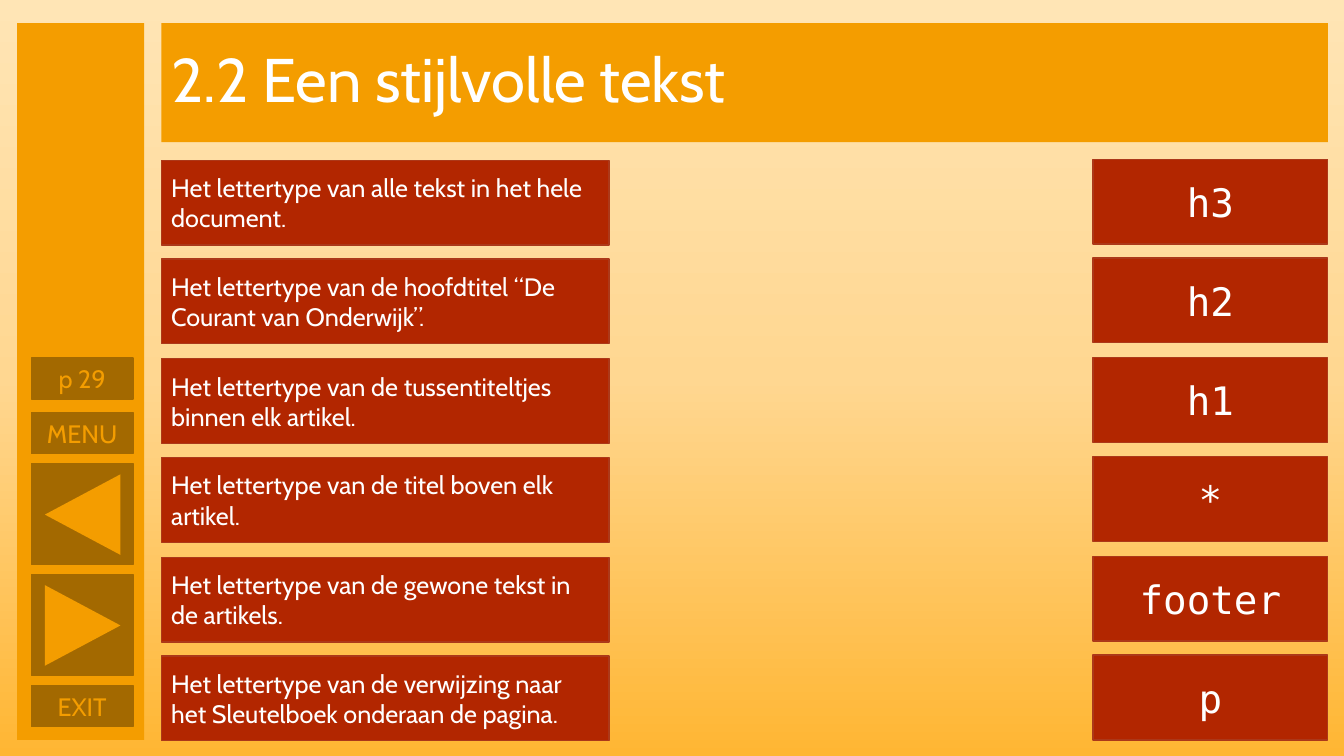
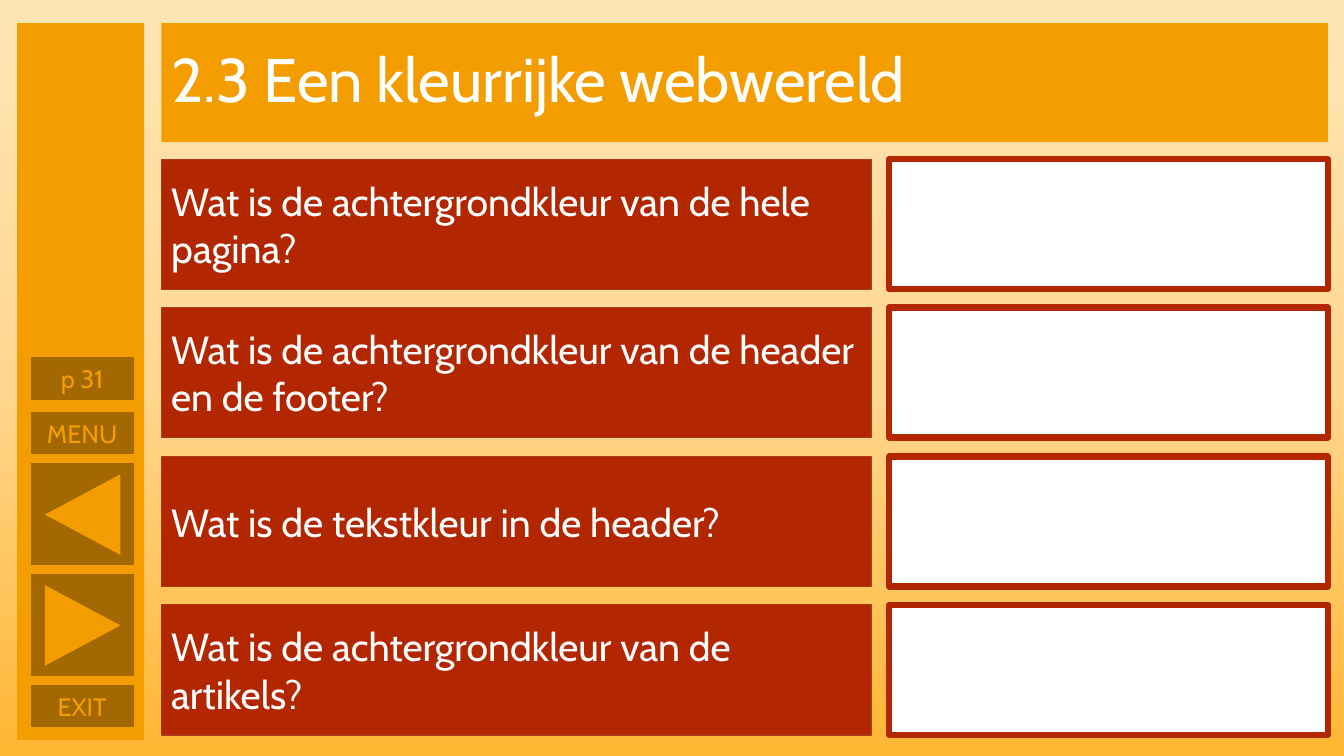
from dataclasses import dataclass

from lxml.etree import SubElement
from pptx import Presentation
from pptx.dml.color import RGBColor
from pptx.enum.shapes import MSO_SHAPE
from pptx.enum.text import MSO_ANCHOR, PP_ALIGN
from pptx.oxml.ns import qn
from pptx.util import Emu, Pt

EMU_PER_PX = 9144  # 100 px to the inch
COLOURS = {
    "orange": "F49D00",
    "brown": "A36900",
    "red": "B22600",
    "red_edge": "AC3819",
    "white": "FFFFFF",
}
BACKGROUND_STOPS = {0: "FFE5B5", 50: "FFD791", 100: "FFB633"}
BODY_FONT = "Cabin"
CODE_FONT = "DejaVu Sans Mono"


@dataclass(frozen=True)
class Frame:
    left: int
    top: int
    width: int
    height: int

    def emu(self) -> list[Emu]:
        lengths = (self.left, self.top, self.width, self.height)
        return [Emu(length * EMU_PER_PX) for length in lengths]


@dataclass(frozen=True)
class BoxStyle:
    fill: str
    line: str | None = None
    line_width: float = 1
    text: str = "white"
    size: int = 18
    font: str = BODY_FONT
    align: PP_ALIGN = PP_ALIGN.LEFT


@dataclass(frozen=True)
class Column:
    """Equal boxes whose tops run evenly from first_top to last_top."""
    left: int
    width: int
    height: int
    first_top: int
    last_top: int
    style: BoxStyle


@dataclass(frozen=True)
class Arrow:
    button_top: int
    rotation: int


TITLE_FRAME = Frame(160, 23, 1157, 118)
SIDEBAR_FRAME = Frame(17, 23, 126, 711)
BUTTON_LEFT, BUTTON_WIDTH, LABEL_HEIGHT, ARROW_HEIGHT = 31, 101, 41, 100
ARROWS = [Arrow(460, 270), Arrow(570, 90)]

PLAIN = BoxStyle("orange")
BUTTON = BoxStyle("brown", "brown", text="orange", align=PP_ALIGN.CENTER)
STATEMENT = BoxStyle("red", "red_edge")
SELECTOR = BoxStyle("red", "red_edge", size=28, font=CODE_FONT, align=PP_ALIGN.CENTER)
QUESTION = BoxStyle("red", "red_edge", size=28)
ANSWER = BoxStyle("white", "red", line_width=4.5)

STATEMENTS = [
    "Het lettertype van alle tekst in het hele document.",
    "Het lettertype van de hoofdtitel “De Courant van Onderwijk”.",
    "Het lettertype van de tussentiteltjes binnen elk artikel.",
    "Het lettertype van de titel boven elk artikel.",
    "Het lettertype van de gewone tekst in de artikels.",
    "Het lettertype van de verwijzing naar het Sleutelboek onderaan de pagina.",
]
SELECTORS = ["h3", "h2", "h1", "*", "footer", "p"]
QUESTIONS = [
    "Wat is de achtergrondkleur van de hele pagina?",
    "Wat is de achtergrondkleur van de header en de footer?",
    "Wat is de tekstkleur in de header?",
    "Wat is de achtergrondkleur van de artikels?",
]


def colour(name: str) -> RGBColor:
    return RGBColor.from_string(COLOURS[name])


def paint_background(master) -> None:
    fill = master.background.fill
    fill.gradient()
    fill.gradient_angle = 270
    stops = next(master.element.iter(qn("a:gsLst")))
    for stop in list(stops):
        stops.remove(stop)
    for percent, value in BACKGROUND_STOPS.items():
        stop = SubElement(stops, qn("a:gs"), pos=str(percent * 1000))
        SubElement(stop, qn("a:srgbClr"), val=value)


def write_text(shape, text: str, style: BoxStyle):
    """Fill the shape with one styled paragraph and return that paragraph."""
    frame = shape.text_frame
    frame.text = text
    frame.word_wrap = True
    frame.vertical_anchor = MSO_ANCHOR.MIDDLE
    paragraph = frame.paragraphs[0]
    paragraph.alignment = style.align
    paragraph.font.name = style.font
    paragraph.font.size = Pt(style.size)
    paragraph.font.color.rgb = colour(style.text)
    return paragraph


def add_box(page, frame: Frame, style: BoxStyle, text: str = "", kind=MSO_SHAPE.RECTANGLE):
    box = page.shapes.add_shape(kind, *frame.emu())
    box.shadow.inherit = False
    box.fill.solid()
    box.fill.fore_color.rgb = colour(style.fill)
    if style.line:
        box.line.color.rgb = colour(style.line)
        box.line.width = Pt(style.line_width)
    else:
        box.line.fill.background()
    if text:
        write_text(box, text, style)
    return box


def set_title(page, text: str) -> None:
    title = page.shapes.title
    title.left, title.top, title.width, title.height = TITLE_FRAME.emu()
    title.fill.solid()
    title.fill.fore_color.rgb = colour("orange")
    paragraph = write_text(title, text, BoxStyle("orange", size=44))
    paragraph.line_spacing = 0.9


def add_sidebar(page, page_label: str) -> None:
    add_box(page, SIDEBAR_FRAME, PLAIN)
    for top, label in [(355, page_label), (409, "MENU"), (680, "EXIT")]:
        add_box(page, Frame(BUTTON_LEFT, top, BUTTON_WIDTH, LABEL_HEIGHT), BUTTON, label)
    for arrow in ARROWS:
        add_box(page, Frame(BUTTON_LEFT, arrow.button_top, BUTTON_WIDTH, ARROW_HEIGHT), BUTTON)
        triangle = add_box(page, Frame(42, arrow.button_top + 13, 80, 75), PLAIN,
                           kind=MSO_SHAPE.ISOSCELES_TRIANGLE)
        triangle.rotation = arrow.rotation


def add_column(page, column: Column, texts: list[str]) -> None:
    pitch = (column.last_top - column.first_top) / (len(texts) - 1)
    for row, text in enumerate(texts):
        top = column.first_top + round(row * pitch)
        add_box(page, Frame(column.left, top, column.width, column.height), column.style, text)


def add_page(deck, title: str, page_label: str):
    page = deck.slides.add_slide(deck.slide_layouts.get_by_name("Title Only"))
    set_title(page, title)
    add_sidebar(page, page_label)
    return page


def main() -> None:
    deck = Presentation()
    deck.slide_width, deck.slide_height = Emu(1333 * EMU_PER_PX), Emu(750 * EMU_PER_PX)
    paint_background(deck.slide_master)

    page = add_page(deck, "2.2 Een stijlvolle tekst", "p 29")
    add_column(page, Column(160, 444, 84, 159, 651, STATEMENT), STATEMENTS)
    add_column(page, Column(1084, 233, 84, 158, 650, SELECTOR), SELECTORS)

    page = add_page(deck, "2.3 Een kleurrijke webwereld", "p 31")
    add_column(page, Column(160, 704, 129, 158, 600, QUESTION), QUESTIONS)
    add_column(page, Column(882, 435, 129, 158, 600, ANSWER), [""] * len(QUESTIONS))

    deck.save("out.pptx")


if __name__ == "__main__":
    main()
